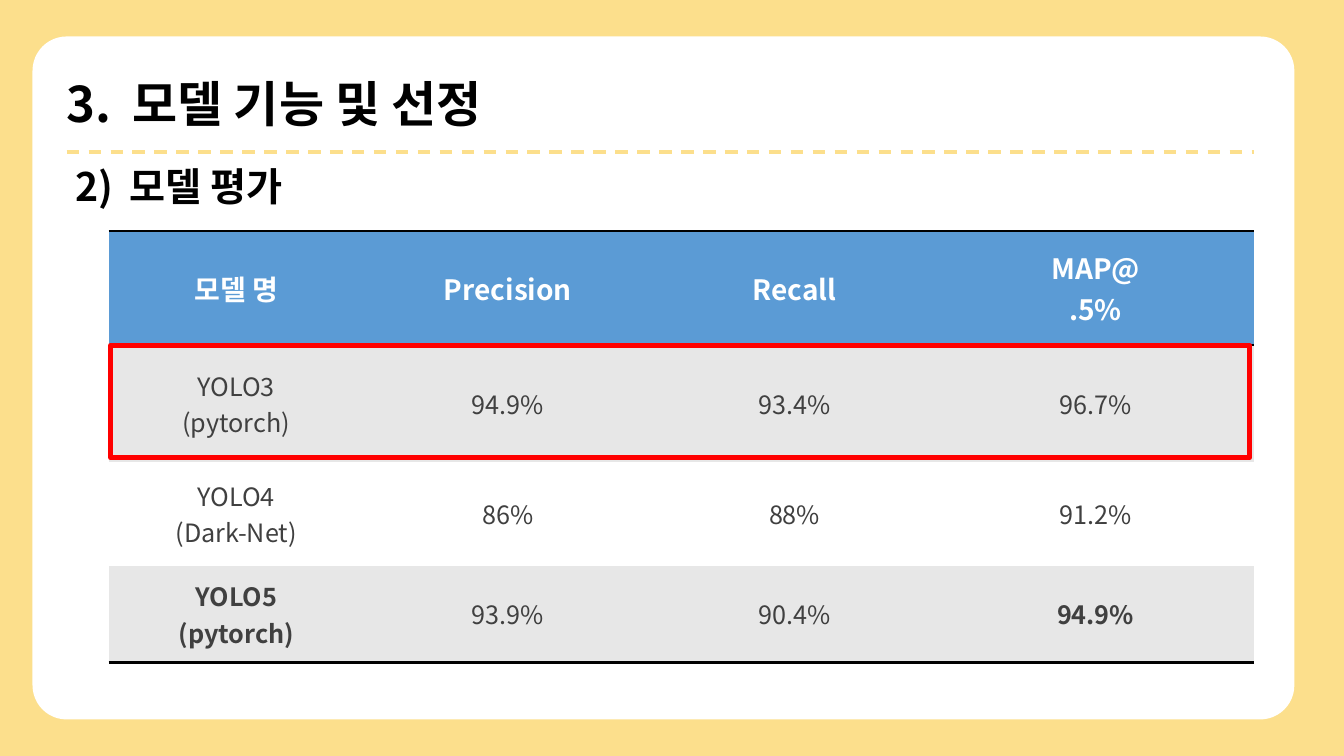
"""Build the model evaluation slide with its comparison table."""
from lxml.etree import SubElement
from pptx import Presentation
from pptx.dml.color import RGBColor
from pptx.enum.dml import MSO_LINE
from pptx.enum.shapes import MSO_CONNECTOR, MSO_SHAPE
from pptx.enum.text import MSO_ANCHOR, MSO_AUTO_SIZE, PP_ALIGN
from pptx.oxml import parse_xml
from pptx.oxml.ns import nsdecls, qn
from pptx.util import Cm, Pt

FONT = "Noto Sans CJK KR"
YELLOW = RGBColor(0xFC, 0xDF, 0x8C)
WHITE = RGBColor(0xFF, 0xFF, 0xFF)
BLACK = RGBColor(0x00, 0x00, 0x00)
DARK = RGBColor(0x40, 0x40, 0x40)
BLUE = RGBColor(0x5B, 0x9B, 0xD5)
GRAY = RGBColor(0xE7, 0xE7, 0xE7)
RED = RGBColor(0xFF, 0x00, 0x00)
NO_STYLE = "{2D5ABB26-0587-4C30-8999-92F81FD0307C}"


def write(tf, text, size, color=BLACK, bold=False, align=PP_ALIGN.LEFT, hang=0):
    tf.text = text
    for p in tf.paragraphs:
        p.alignment = align
        if hang:
            pPr = p._p.get_or_add_pPr()
            pPr.set("marL", str(Cm(hang)))
            pPr.set("indent", str(-Cm(hang)))
        for r in p.runs:
            r.font.name = FONT
            r.font.size = Pt(size)
            r.font.bold = bold
            r.font.color.rgb = color
            SubElement(r._r.get_or_add_rPr(), qn("a:ea"), typeface=FONT)


def add_border(cell, side, index):
    cell._tc.get_or_add_tcPr().insert(index, parse_xml(
        f'<a:{side} {nsdecls("a")} w="{Pt(2)}"><a:solidFill>'
        f'<a:srgbClr val="{BLACK}"/></a:solidFill></a:{side}>'))


prs = Presentation()
prs.slide_width, prs.slide_height = Cm(33.87), Cm(19.05)
s = prs.slides.add_slide(prs.slide_layouts[5])
s.background.fill.solid()
s.background.fill.fore_color.rgb = YELLOW

panel = s.shapes.add_shape(MSO_SHAPE.ROUNDED_RECTANGLE, Cm(0.82), Cm(0.92), Cm(31.8), Cm(17.21))
panel.adjustments[0] = 0.05
panel.shadow.inherit = False
panel.fill.solid()
panel.fill.fore_color.rgb = WHITE
panel.line.fill.background()
s.shapes._spTree.insert(2, panel._element)

rule = s.shapes.add_connector(MSO_CONNECTOR.STRAIGHT, Cm(1.68), Cm(3.83), Cm(31.6), Cm(3.83))
rule.line.color.rgb = YELLOW
rule.line.width = Pt(2.25)
rule.line.dash_style = MSO_LINE.DASH
SubElement(rule._element.spPr, qn("a:effectLst"))

title = s.shapes.title
title.left, title.top, title.width, title.height = Cm(1.42), Cm(1.73), Cm(12.62), Cm(1.75)
subtitle = s.shapes.add_textbox(Cm(1.65), Cm(3.96), Cm(9.75), Cm(1.45))
for sp, text, size, hang in [(title, "3.\t모델 기능 및 선정", 35, 1.67),
                             (subtitle, "2)\t모델 평가", 28, 1.37)]:
    tf = sp.text_frame
    tf.word_wrap = True
    tf.auto_size = MSO_AUTO_SIZE.NONE
    tf.vertical_anchor = MSO_ANCHOR.MIDDLE
    write(tf, text, size, bold=True, hang=hang)

rows = [
    ["모델 명", "Precision", "Recall", "MAP@\n.5%"],
    ["YOLO3\n(pytorch)", "94.9%", "93.4%", "96.7%"],
    ["YOLO4\n(Dark-Net)", "86%", "88%", "91.2%"],
    ["YOLO5\n(pytorch)", "93.9%", "90.4%", "94.9%"],
]
bold_cells = {(3, 0), (3, 3)}
gf = s.shapes.add_table(4, 4, Cm(2.74), Cm(5.82), Cm(28.86), Cm(10.87))
table = gf.table
table._tbl.tblPr.find(qn("a:tableStyleId")).text = NO_STYLE
for column, width in zip(table.columns, [6.43, 7.26, 7.19, 7.98]):
    column.width = Cm(width)
for row, height in zip(table.rows, [2.87, 2.95, 2.61, 2.44]):
    row.height = Cm(height)
for i, row in enumerate(rows):
    header = i == 0
    for j, text in enumerate(row):
        cell = table.cell(i, j)
        cell.vertical_anchor = MSO_ANCHOR.MIDDLE
        cell.fill.solid()
        cell.fill.fore_color.rgb = BLUE if header else GRAY if i % 2 else WHITE
        write(cell.text_frame, text, 20 if header else 18, WHITE if header else DARK,
              header or (i, j) in bold_cells, PP_ALIGN.CENTER)
        if header:
            add_border(cell, "lnT", 0)
            add_border(cell, "lnB", 1)
        elif i == len(rows) - 1:
            add_border(cell, "lnB", 0)

highlight = s.shapes.add_shape(MSO_SHAPE.RECTANGLE, Cm(2.79), Cm(8.71), Cm(28.7), Cm(2.82))
highlight.shadow.inherit = False
highlight.fill.background()
highlight.line.color.rgb = RED
highlight.line.width = Pt(4)

prs.save("out.pptx")
